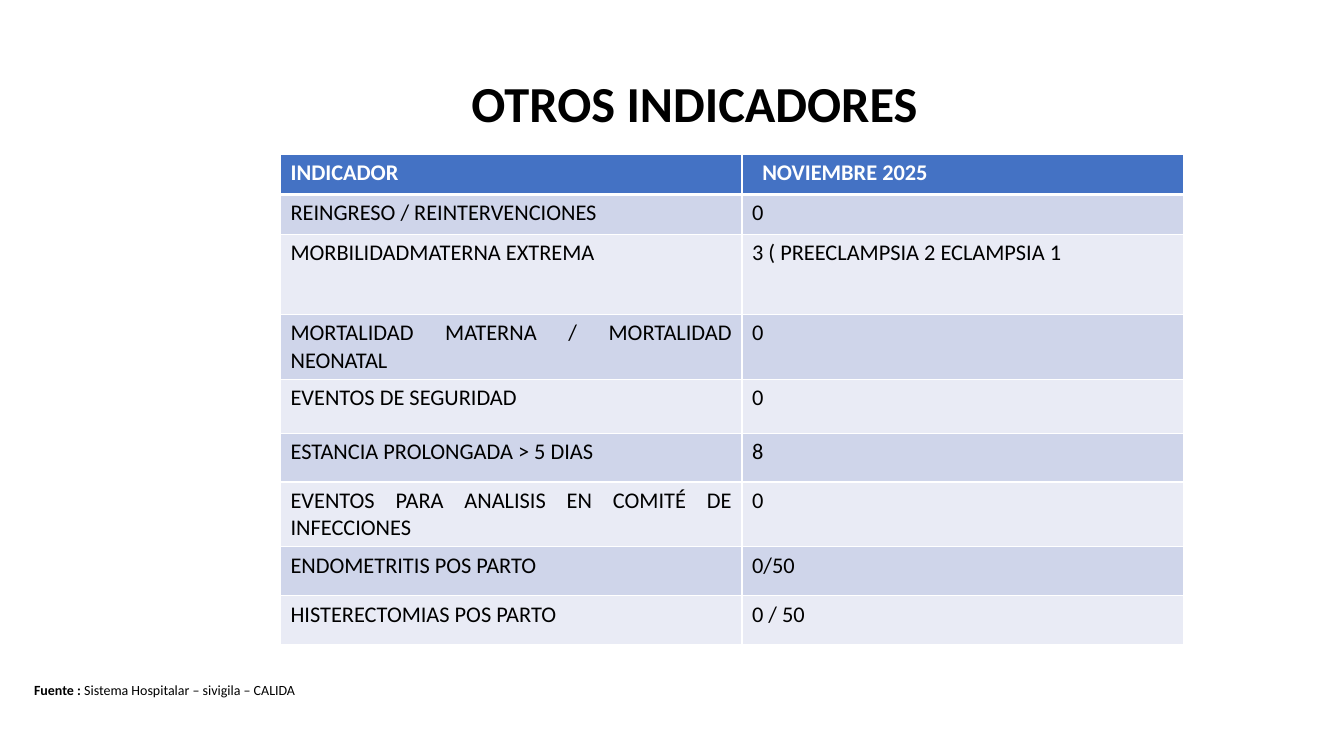
"""Builds the slide of other hospital indicators for November 2025."""
from dataclasses import dataclass

from lxml.etree import SubElement
from pptx import Presentation
from pptx.dml.color import RGBColor
from pptx.enum.text import MSO_ANCHOR as Anchor, MSO_AUTO_SIZE as AutoSize, PP_ALIGN as Align
from pptx.oxml.ns import qn
from pptx.util import Cm, Pt

BLACK, WHITE, BLUE = "000000", "FFFFFF", "4472C4"
BANDS = ("CFD5EA", "E9EBF5")


@dataclass
class Indicator:
    name: str
    value: str
    height: float


HEADER = Indicator("INDICADOR", "NOVIEMBRE 2025", 1.01)
INDICATORS = [
    Indicator("REINGRESO / REINTERVENCIONES", "0", 1.01),
    Indicator("MORBILIDADMATERNA EXTREMA", "3 ( PREECLAMPSIA 2 ECLAMPSIA 1", 2.01),
    Indicator("MORTALIDAD MATERNA / MORTALIDAD NEONATAL", "0", 1.63),
    Indicator("EVENTOS DE SEGURIDAD", "0", 1.36),
    Indicator("ESTANCIA PROLONGADA > 5 DIAS", "8", 1.23),
    Indicator("EVENTOS PARA ANALISIS EN COMITÉ DE INFECCIONES", "0", 1.63),
    Indicator("ENDOMETRITIS POS PARTO", "0/50", 1.23),
    Indicator("HISTERECTOMIAS POS PARTO", "0 / 50", 1.23),
]


def rgb(color: str) -> RGBColor:
    return RGBColor.from_string(color)


def add_text(p, text: str, *, size: float, color: str = BLACK, bold: bool = False,
             align=None, spacing=None) -> None:
    p.alignment = align
    p.line_spacing = spacing
    r = p.add_run()
    r.text = text
    r.font.name = "Calibri"
    r.font.size = Pt(size)
    r.font.bold = bold
    r.font.color.rgb = rgb(color)


def add_borders(cell, bottom: float, top: float) -> None:
    tc_pr = cell._tc.get_or_add_tcPr()
    for side, width in (("L", 1), ("R", 1), ("T", top), ("B", bottom)):
        ln = SubElement(tc_pr, qn(f"a:ln{side}"), w=str(Pt(width)))
        SubElement(SubElement(ln, qn("a:solidFill")), qn("a:srgbClr"), val=WHITE)


def add_title(s) -> None:
    sp = s.shapes.title
    sp.left, sp.top, sp.width, sp.height = Cm(5.77), Cm(0), Cm(23.47), Cm(5.33)
    tf = sp.text_frame
    tf.vertical_anchor = Anchor.MIDDLE
    tf.auto_size = AutoSize.NONE
    add_text(tf.paragraphs[0], "OTROS INDICADORES", size=36, bold=True,
             align=Align.CENTER, spacing=0.9)


def add_indicators(s) -> None:
    rows = [HEADER, *INDICATORS]
    height = sum(row.height for row in rows)
    table = s.shapes.add_table(len(rows), 2, Cm(7.07), Cm(3.89), Cm(22.76), Cm(height)).table
    table.columns[0].width, table.columns[1].width = Cm(11.63), Cm(11.13)
    for i, row in enumerate(rows):
        table.rows[i].height = Cm(row.height)
        header = i == 0
        for j, text in enumerate((row.name, row.value)):
            cell = table.cell(i, j)
            add_borders(cell, bottom=3 if header else 1, top=3 if i == 1 else 1)
            cell.fill.solid()
            cell.fill.fore_color.rgb = rgb(BLUE if header else BANDS[(i - 1) % 2])
            add_text(cell.text_frame.paragraphs[0], text, size=16, bold=header,
                     color=WHITE if header else BLACK, align=Align.JUSTIFY)
    table.cell(0, 1).margin_left = Cm(0.51)


def add_source(s) -> None:
    tf = s.shapes.add_textbox(Cm(0.61), Cm(17.04), Cm(21), Cm(0.68)).text_frame
    tf.word_wrap = True
    tf.auto_size = AutoSize.SHAPE_TO_FIT_TEXT
    p = tf.paragraphs[0]
    add_text(p, "Fuente : ", size=10, bold=True)
    add_text(p, "Sistema Hospitalar – sivigila – CALIDA", size=10)


def main() -> None:
    prs = Presentation()
    prs.slide_width, prs.slide_height = Cm(33.87), Cm(19.05)
    s = prs.slides.add_slide(prs.slide_layouts[5])
    add_indicators(s)
    add_title(s)
    add_source(s)
    prs.save("out.pptx")


if __name__ == "__main__":
    main()
